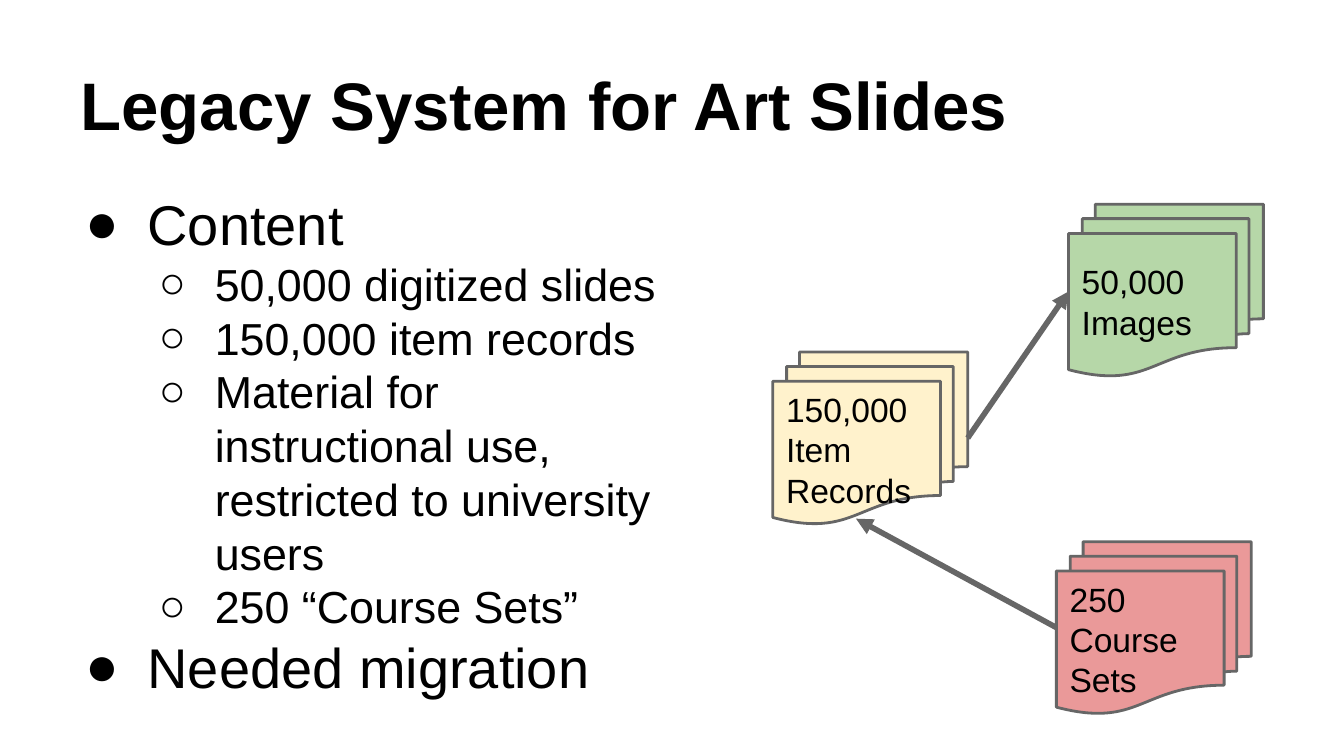
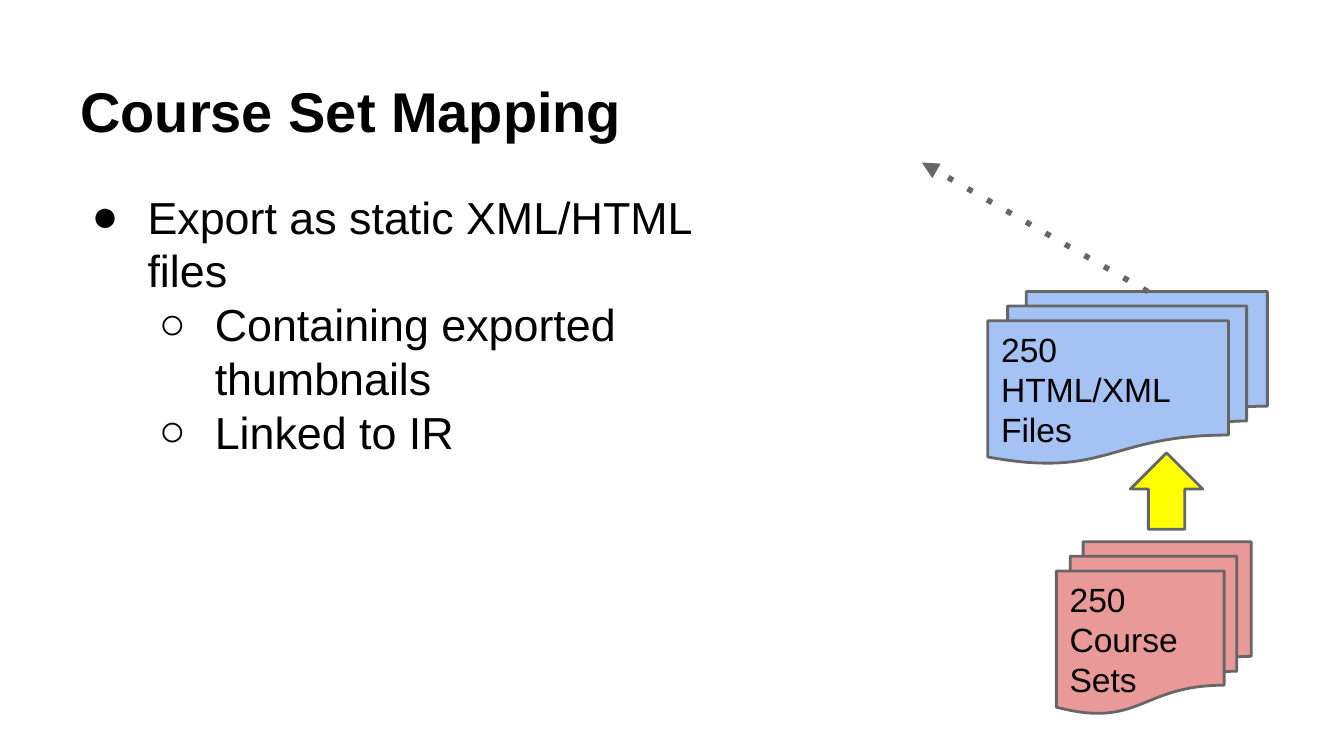
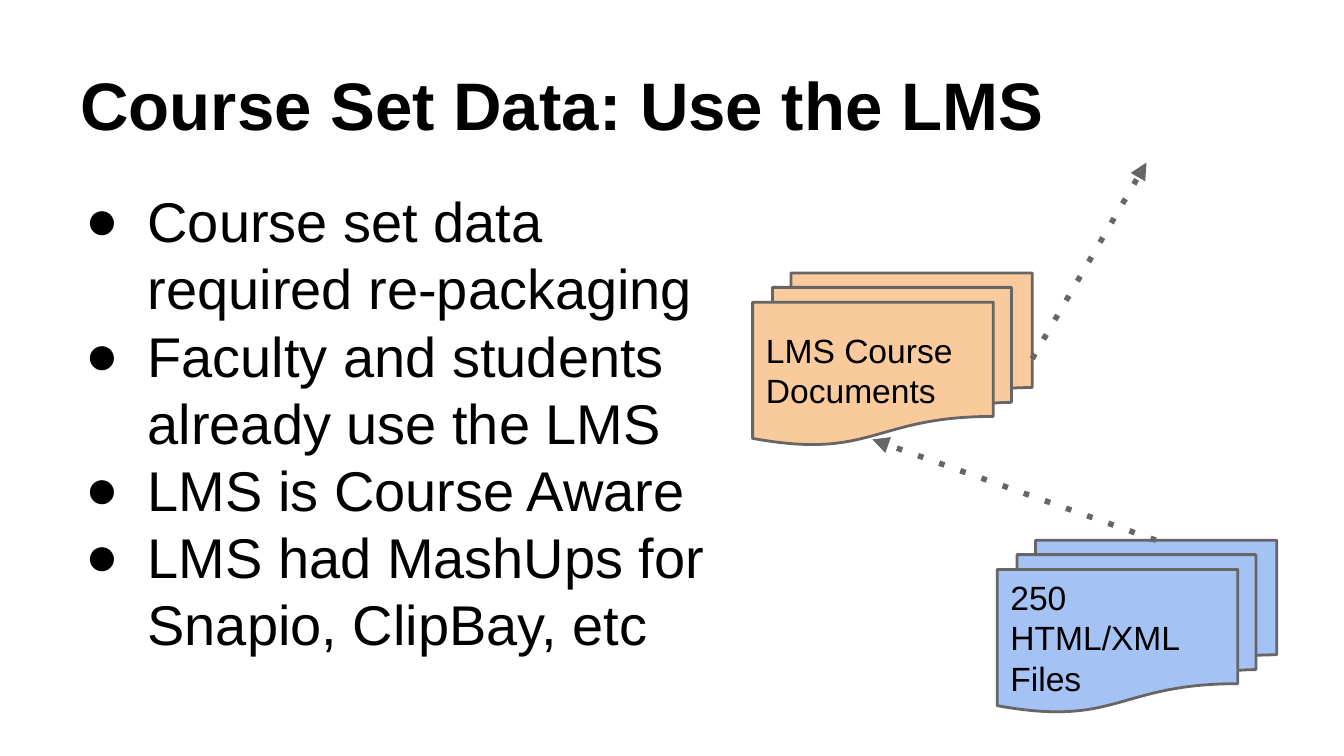
import pptx
import pptx.util
import pptx.dml.color
import pptx.enum.shapes
import pptx.enum.text
import pptx.oxml.ns
from lxml import etree

Pt = pptx.util.Pt
SHAPE = pptx.enum.shapes.MSO_SHAPE
ANCHOR = pptx.enum.text.MSO_ANCHOR

# Shared look
COLORS = {
    "text": "000000", "outline": "666666", "background": "FFFFFF",
    "images": "B6D7A8", "records": "FFF2CC", "course_sets": "EA9999",
    "files": "A4C2F4", "lms": "F9CB9C", "export": "FFFF00",
}
FONT = "Arial"
SLIDE_SIZE = (720, 405)
TITLE_BOX = (36, 16.56, 648, 67.68)
BODY_LEFT, BODY_HEIGHT = 36, 293
INSET = 7.2
LEVEL_INDENT = 36
BULLETS = "●○"
HANGING = {24: 30, 30: 33}
STACK_HEIGHT = 92.16
NARROW, WIDE = 104.4, 149.76

# Content: bullets are (level, size, text); a stack is (kind, left, top, width, color, lines);
# an arrow is (kind, start, end, dash); a block arrow is (kind, left, top, width, height, color)
COURSE_SETS = ("stack", 565.9, 290.2, NARROW, "course_sets", ["250 Course Sets"])
HTML_FILES = ["250 HTML/XML Files"]

SLIDES = [
    {
        "title": ("Legacy System for Art Slides", 36),
        "body": (94.3, 324),
        "bullets": [
            (0, 30, "Content"),
            (1, 24, "50,000 digitized slides"),
            (1, 24, "150,000 item records"),
            (1, 24, "Material for instructional use, restricted to university users"),
            (1, 24, "250 “Course Sets”"),
            (0, 30, "Needed migration"),
        ],
        "diagram": [
            ("stack", 572.4, 109.4, NARROW, "images", ["50,000", "Images"]),
            ("stack", 414, 188.6, NARROW, "records", ["150,000", "Item Records"]),
            COURSE_SETS,
            ("arrow", (518.4, 234.7), (572.4, 156.2), None),
            ("arrow", (565.9, 336.2), (458.6, 277.9), None),
        ],
    },
    {
        "title": ("Course Set Mapping", 30),
        "body": (94.3, 357.8),
        "bullets": [
            (0, 24, "Export as static XML/HTML files"),
            (1, 24, "Containing exported thumbnails"),
            (1, 24, "Linked to IR"),
        ],
        "diagram": [
            COURSE_SETS,
            ("stack", 529.2, 156.2, WIDE, "files", HTML_FILES),
            ("arrow", (614.9, 156.2), (493.9, 87.1), "dot"),
            ("block_arrow", 605.5, 242.6, 38.9, 41, "export"),
        ],
    },
    {
        "title": ("Course Set Data: Use the LMS", 36),
        "body": (92.9, 357.8),
        "bullets": [
            (0, 30, "Course set data required re-packaging"),
            (0, 30, "Faculty and students already use the LMS"),
            (0, 30, "LMS is Course Aware"),
            (0, 30, "LMS had MashUps for Snapio, ClipBay, etc"),
        ],
        "diagram": [
            ("stack", 534.2, 289.4, WIDE, "files", HTML_FILES),
            ("arrow", (619.2, 289.4), (467.3, 235.4), "dot"),
            ("stack", 403.2, 146.2, WIDE, "lms", ["LMS Course Documents"]),
            ("arrow", (553, 192.2), (614.2, 87.1), "dot"),
        ],
    },
]


def rgb(name):
    return pptx.dml.color.RGBColor.from_string(COLORS[name])


def add_xml(parent, tag, **attributes):
    return etree.SubElement(parent, pptx.oxml.ns.qn(tag), attributes)


def prepare_frame(frame, anchor):
    frame.word_wrap = True
    frame.vertical_anchor = anchor
    frame.margin_left = frame.margin_right = Pt(INSET)
    frame.margin_top = frame.margin_bottom = Pt(INSET)


def write(frame, text, size=18, bold=False, level=None, space_before=0):
    """Fill the first empty paragraph or add one; a level makes it a bullet."""
    paragraph = frame.paragraphs[-1]
    if paragraph.runs:
        paragraph = frame.add_paragraph()
    paragraph.alignment = pptx.enum.text.PP_ALIGN.LEFT
    paragraph.space_before = Pt(space_before)
    run = paragraph.add_run()
    run.text = text
    run.font.name = FONT
    run.font.size = Pt(size)
    run.font.bold = bold
    run.font.color.rgb = rgb("text")
    if level is not None:
        paragraph.level = level
        properties = paragraph._p.get_or_add_pPr()
        properties.set("marL", str(Pt(LEVEL_INDENT * (level + 1))))
        properties.set("indent", str(-Pt(HANGING[size])))
        add_xml(add_xml(properties, "a:buClr"), "a:srgbClr", val=COLORS["text"])
        add_xml(properties, "a:buFont", typeface=FONT)
        add_xml(properties, "a:buChar", char=BULLETS[level])


def add_text_box(slide, box, anchor):
    frame = slide.shapes.add_textbox(*map(Pt, box)).text_frame
    prepare_frame(frame, anchor)
    return frame


def add_outlined(slide, preset, box, color):
    shape = slide.shapes.add_shape(preset, *map(Pt, box))
    shape.shadow.inherit = False
    shape.fill.solid()
    shape.fill.fore_color.rgb = rgb(color)
    shape.line.color.rgb = rgb("outline")
    shape.line.width = Pt(1.5)
    return shape


def add_stack(slide, left, top, width, color, lines):
    box = (left, top, width, STACK_HEIGHT)
    frame = add_outlined(slide, SHAPE.FLOWCHART_MULTIDOCUMENT, box, color).text_frame
    prepare_frame(frame, ANCHOR.MIDDLE)
    for line in lines:
        write(frame, line)


def add_block_arrow(slide, left, top, width, height, color):
    add_outlined(slide, SHAPE.UP_ARROW, (left, top, width, height), color)


def add_arrow(slide, start, end, dash):
    arrow = slide.shapes.add_connector(
        pptx.enum.shapes.MSO_CONNECTOR.STRAIGHT, *map(Pt, start + end))
    arrow.line.color.rgb = rgb("outline")
    arrow.line.width = Pt(3)
    outline = arrow.line._get_or_add_ln()
    if dash:
        add_xml(outline, "a:prstDash", val=dash)
    add_xml(outline, "a:tailEnd", type="triangle")
    add_xml(arrow._element.spPr, "a:effectLst")


DRAW = {"stack": add_stack, "arrow": add_arrow, "block_arrow": add_block_arrow}


def build_slide(deck, content):
    slide = deck.slides.add_slide(deck.slide_layouts[6])
    slide.background.fill.solid()
    slide.background.fill.fore_color.rgb = rgb("background")

    # Title
    title, size = content["title"]
    write(add_text_box(slide, TITLE_BOX, ANCHOR.BOTTOM), title, size=size, bold=True)

    # Bullets
    top, width = content["body"]
    body = add_text_box(slide, (BODY_LEFT, top, width, BODY_HEIGHT), ANCHOR.TOP)
    for index, (level, size, text) in enumerate(content["bullets"]):
        write(body, text, size=size, level=level, space_before=0 if index else 6)

    # Diagram, from back to front
    for kind, *details in content["diagram"]:
        DRAW[kind](slide, *details)


def main():
    deck = pptx.Presentation()
    deck.slide_width, deck.slide_height = map(Pt, SLIDE_SIZE)
    for content in SLIDES:
        build_slide(deck, content)
    deck.save("out.pptx")


if __name__ == "__main__":
    main()
